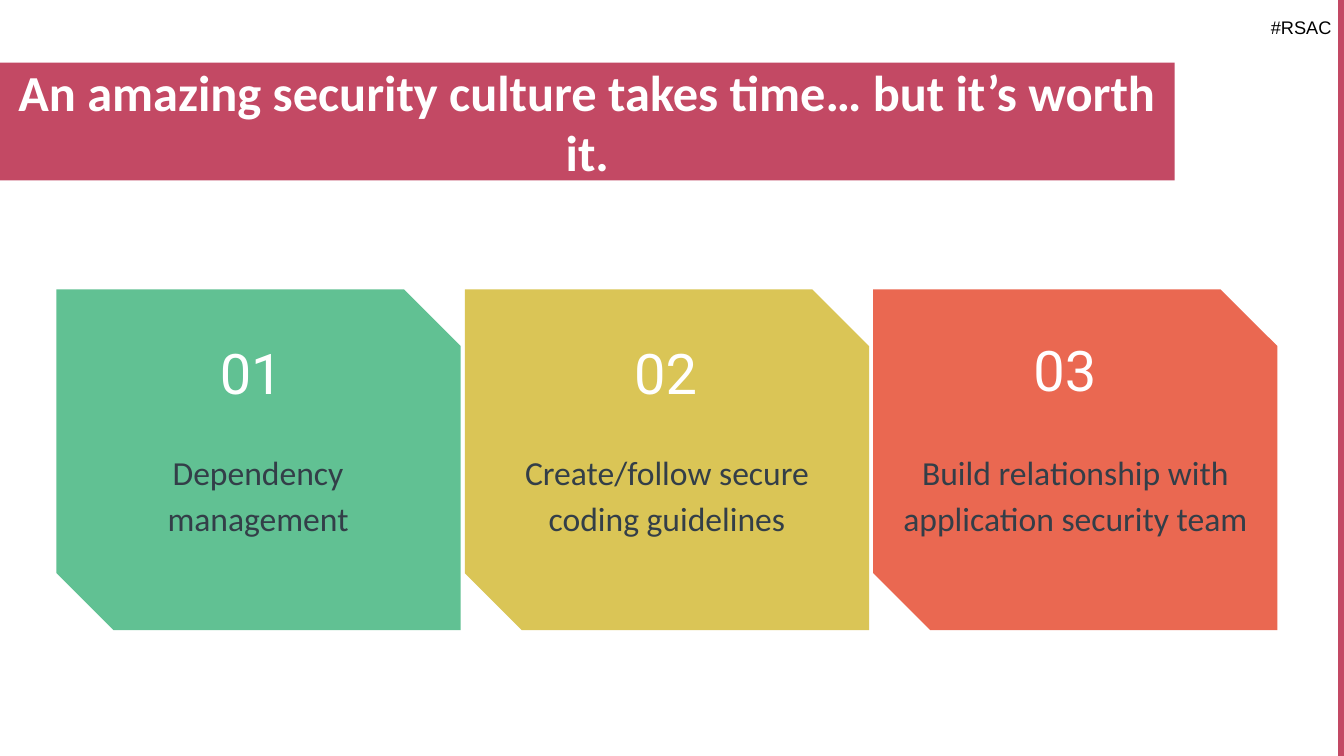
from pptx import Presentation
from pptx.dml.color import RGBColor
from pptx.enum.shapes import MSO_SHAPE
from pptx.enum.text import MSO_ANCHOR, MSO_AUTO_SIZE, PP_ALIGN
from pptx.util import Inches, Pt

COLORS = {
    "rose": "C34964", "green": "61C193", "yellow": "DAC556", "coral": "EA6851",
    "slate": "333E48", "white": "FFFFFF", "black": "000000",
}
FORMATS = {
    "title": {"name": "Calibri", "size": Pt(36), "bold": True},
    "number": {"name": "Roboto", "size": Pt(40)},
    "step": {"name": "Calibri", "size": Pt(24)},
    "hashtag": {"name": "Arial", "size": Pt(13)},
}


class SlideBuilder:
    def __init__(self, prs):
        self.s = prs.slides.add_slide(prs.slide_layouts[5])

    def color(self, name):
        return RGBColor.from_string(COLORS[name])

    def fill_text(self, sp, text, style, color, align=PP_ALIGN.CENTER,
                  anchor=MSO_ANCHOR.TOP, inset=0.13, spacing=None):
        tf = sp.text_frame
        frame = {"word_wrap": True, "auto_size": MSO_AUTO_SIZE.NONE,
                 "vertical_anchor": anchor}
        for side in ("left", "top", "right", "bottom"):
            frame[f"margin_{side}"] = Inches(inset)
        for key, value in frame.items():
            setattr(tf, key, value)
        p = tf.paragraphs[0]
        p.alignment = align
        if spacing:
            p.line_spacing = spacing
        r = p.add_run()
        r.text = text
        for key, value in FORMATS[style].items():
            setattr(r.font, key, value)
        r.font.color.rgb = self.color(color)

    def title(self, box, text, fill):
        sp = self.s.shapes.title
        sp.left, sp.top, sp.width, sp.height = map(Inches, box)
        sp.fill.solid()
        sp.fill.fore_color.rgb = self.color(fill)
        self.fill_text(sp, text, "title", "white", anchor=MSO_ANCHOR.MIDDLE)

    def shape(self, kind, box, fill, line=None):
        sp = self.s.shapes.add_shape(kind, *map(Inches, box))
        sp.shadow.inherit = False
        sp.fill.solid()
        sp.fill.fore_color.rgb = self.color(fill)
        if line:
            sp.line.color.rgb = self.color(fill)
            sp.line.width = Pt(line)
        else:
            sp.line.fill.background()
        return sp

    def text(self, box, text, style, color, **options):
        sp = self.s.shapes.add_textbox(*map(Inches, box))
        self.fill_text(sp, text, style, color, **options)
        return sp


def main():
    prs = Presentation()
    prs.slide_width, prs.slide_height = Inches(13.33), Inches(7.5)
    slide = SlideBuilder(prs)

    # Title band, hashtag and right edge strip
    slide.title((0, 0.62, 11.65, 1.17),
                "An amazing security culture takes time… but it’s worth it.", "rose")
    slide.text((12.57, 0.16, 0.67, 0.22), "#RSAC", "hashtag", "black",
               anchor=MSO_ANCHOR.MIDDLE, inset=0)
    slide.shape(MSO_SHAPE.RECTANGLE, (13.28, 0, 0.06, 7.62), "rose", line=0.75)

    # Cards: fill, number position, text left and width, wording
    cards = [
        ("green", 2.05, 3.23, 1.01, 3.61, "Dependency management"),
        ("yellow", 6.16, 3.23, 4.67, 3.89, "Create/follow secure coding guidelines"),
        ("coral", 10.12, 3.2, 8.72, 3.89,
         "Build relationship with application security team"),
    ]
    steps = []
    for i, (fill, num_x, num_y, left, width, wording) in enumerate(cards):
        card = slide.shape(MSO_SHAPE.SNIP_2_DIAG_RECTANGLE,
                           (0.56 + 4.05 * i, 2.87, 4.01, 3.38), fill)
        card.adjustments[0], card.adjustments[1] = 0, 0.167
        slide.text((num_x, num_y, 1.01, 0.84), f"{i + 1:02}", "number", "white",
                   align=PP_ALIGN.LEFT)
        steps.append(slide.text((left, 4.29, width, 2.04), wording, "step", "slate",
                                spacing=1.15))

    # Wider right margin keeps the first step centred on its card
    steps[0].text_frame.margin_right = Inches(0.64)

    prs.save("out.pptx")


if __name__ == "__main__":
    main()
